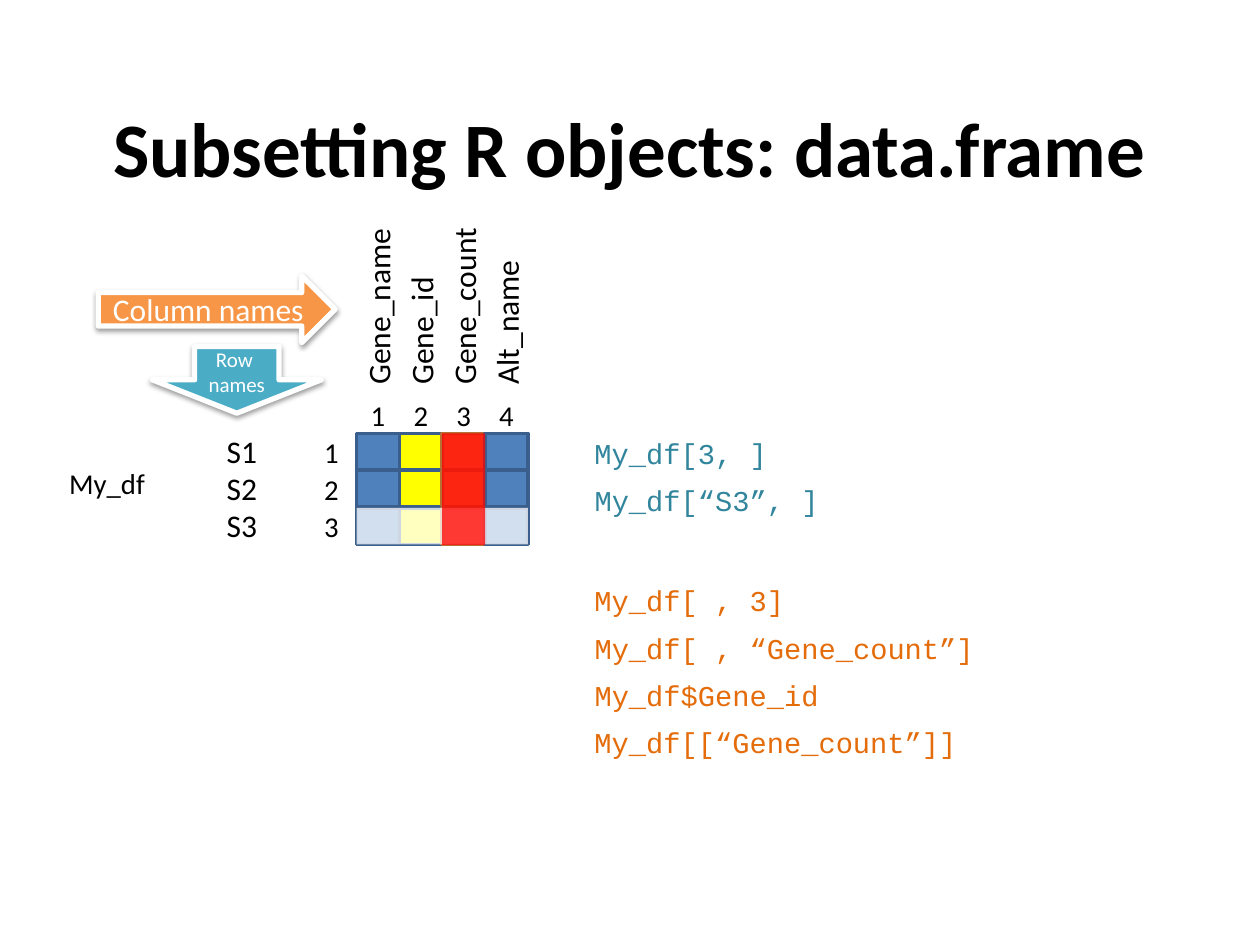
from lxml import etree
from pptx import Presentation
from pptx.dml.color import RGBColor
from pptx.enum.shapes import MSO_SHAPE
from pptx.enum.text import MSO_ANCHOR, MSO_AUTO_SIZE, PP_ALIGN
from pptx.oxml.ns import qn
from pptx.util import Inches, Pt

RECT, RIGHT_ARROW, DOWN_ARROW = MSO_SHAPE.RECTANGLE, MSO_SHAPE.RIGHT_ARROW, MSO_SHAPE.DOWN_ARROW
LEFT, CENTER = PP_ALIGN.LEFT, PP_ALIGN.CENTER
TOP, MIDDLE = MSO_ANCHOR.TOP, MSO_ANCHOR.MIDDLE
NO_FIT = MSO_AUTO_SIZE.NONE

BLACK = RGBColor(0x00, 0x00, 0x00)
WHITE = RGBColor(0xFF, 0xFF, 0xFF)
BLUE = RGBColor(0x4F, 0x81, 0xBD)
DARK_BLUE = RGBColor(0x3A, 0x5F, 0x8C)
YELLOW = RGBColor(0xFF, 0xFF, 0x00)
ORANGE = RGBColor(0xF7, 0x96, 0x46)
DARK_ORANGE = RGBColor(0xB7, 0x6F, 0x34)
RED = RGBColor(0xFF, 0x00, 0x00)
AQUA = RGBColor(0x4B, 0xAC, 0xC6)
ROW_CODE = RGBColor(0x31, 0x85, 0x9C)
COLUMN_CODE = RGBColor(0xE4, 0x6C, 0x0A)

CELL_W, CELL_H, ROW_STEP = 0.34, 0.29, 0.295
COLUMNS = [  # name, label length, fill, line
    ("Gene_name", 1.5, BLUE, DARK_BLUE),
    ("Gene_id", 1.16, YELLOW, DARK_BLUE),
    ("Gene_count", 1.5, ORANGE, DARK_ORANGE),
    ("Alt_name", 1.76, BLUE, DARK_BLUE),
]
ROWS = ["S1", "S2", "S3"]


def write(tf, lines, size, color=BLACK, font="Calibri", align=LEFT, bold=False):
    """Fill a text frame with one paragraph per line."""
    for i, line in enumerate(lines):
        p = tf.add_paragraph() if i else tf.paragraphs[0]
        p.alignment = align
        r = p.add_run()
        r.text = line
        r.font.name, r.font.size, r.font.bold = font, Pt(size), bold
        r.font.color.rgb = color


def add_label(slide, x, y, w, h, text, size=16.4, rotation=0, **style):
    """Add a one-line text box."""
    sp = slide.shapes.add_textbox(Inches(x), Inches(y), Inches(w), Inches(h))
    sp.rotation = rotation
    sp.text_frame.word_wrap = True
    write(sp.text_frame, [text], size, **style)


def add_block(slide, kind, x, y, w, h, fill, line=None, width=2, alpha=None):
    """Add a filled shape, optionally outlined or see-through."""
    sp = slide.shapes.add_shape(kind, Inches(x), Inches(y), Inches(w), Inches(h))
    sp.shadow.inherit = False
    sp.fill.solid()
    sp.fill.fore_color.rgb = fill
    if line is None:
        sp.line.fill.background()
    else:
        sp.line.color.rgb = line
        sp.line.width = Pt(width)
    if alpha:
        clr = sp.fill._xPr.find(qn("a:solidFill"))[0]
        etree.SubElement(clr, qn("a:alpha"), val=str(alpha * 1000))
    return sp


def add_arrow(slide, kind, x, y, w, h, fill, lines, size):
    """Add a captioned block arrow with a soft shadow below it."""
    sp = add_block(slide, kind, x, y, w, h, fill, WHITE, 3)
    effects = sp._element.spPr.find(qn("a:effectLst"))
    shadow = etree.SubElement(effects, qn("a:outerShdw"), blurRad=str(Pt(3.1)),
                              dist=str(Pt(1.6)), dir="5400000", rotWithShape="0")
    clr = etree.SubElement(shadow, qn("a:srgbClr"), val=str(BLACK))
    etree.SubElement(clr, qn("a:alpha"), val="38000")
    tf = sp.text_frame
    tf.word_wrap, tf.vertical_anchor = True, MIDDLE
    write(tf, lines, size, WHITE, align=CENTER)


def add_title(slide, x, y, w, h, text):
    """Place and fill the title placeholder."""
    sp = slide.shapes.title
    sp.left, sp.top, sp.width, sp.height = Inches(x), Inches(y), Inches(w), Inches(h)
    tf = sp.text_frame
    tf.vertical_anchor, tf.auto_size = TOP, NO_FIT
    write(tf, [text], 44, align=CENTER, bold=True)


def add_data_frame(slide, x, y):
    """Draw the grid with its top left at x, y, and the labels around it."""
    for j in range(len(ROWS)):
        for i, (_, _, fill, line) in enumerate(COLUMNS):
            add_block(slide, RECT, x + i * CELL_W, y + j * ROW_STEP,
                      CELL_W, CELL_H, fill, line)
    for i, (name, length, _, _) in enumerate(COLUMNS):
        left = x + i * CELL_W
        add_label(slide, left, y - 0.33, CELL_W, 0.37, str(i + 1), align=CENTER)
        # Turned labels share a lower end
        add_label(slide, left + (CELL_W - length) / 2, y - 0.49 - length / 2,
                  length, 0.4, name, 18, rotation=270)
    for j, name in enumerate(ROWS):
        top = y + j * ROW_STEP
        add_label(slide, x - 0.37, top - 0.04, 0.34, 0.37, str(j + 1), align=CENTER)
        add_label(slide, x - 1.13, top - 0.06, 0.51, 0.4, name, 18)
    add_label(slide, x - 2.38, y + 0.21, 1.57, 0.37, "My_df")
    height = len(ROWS) * ROW_STEP
    add_block(slide, RECT, x, y + 2 * ROW_STEP, len(COLUMNS) * CELL_W, CELL_H,
              WHITE, alpha=75)
    add_block(slide, RECT, x + 2 * CELL_W, y, CELL_W, height, RED, alpha=75)


def add_code(slide, x, y, lines, color):
    """Stack lines of code, each given with its box width."""
    for i, (text, w) in enumerate(lines):
        add_label(slide, x, y + i * 0.375, w, 0.37, text, color=color, font="Courier New")


def main():
    """Build the slide and save it."""
    prs = Presentation()
    prs.slide_width, prs.slide_height = Inches(10), Inches(7.5)
    slide = prs.slides.add_slide(prs.slide_layouts[5])
    add_title(slide, 0.5, 0.75, 9, 1.25, "Subsetting R objects: data.frame")
    add_data_frame(slide, 2.83, 3.44)
    add_arrow(slide, RIGHT_ARROW, 0.78, 2.19, 1.88, 0.53, ORANGE, ["Column names"], 18)
    add_arrow(slide, DOWN_ARROW, 1.21, 2.75, 1.34, 0.53, AQUA, ["Row ", "names"], 12)
    add_code(slide, 4.62, 3.41, [("My_df[3, ]", 1.76), ("My_df[“S3”, ]", 1.98)], ROW_CODE)
    add_code(slide, 4.62, 4.58, [("My_df[ , 3]", 1.76), ("My_df[ , “Gene_count”]", 3.39),
                                 ("My_df$Gene_id", 1.98), ("My_df[[“Gene_count”]]", 3.17)],
             COLUMN_CODE)
    prs.save("out.pptx")


main()
